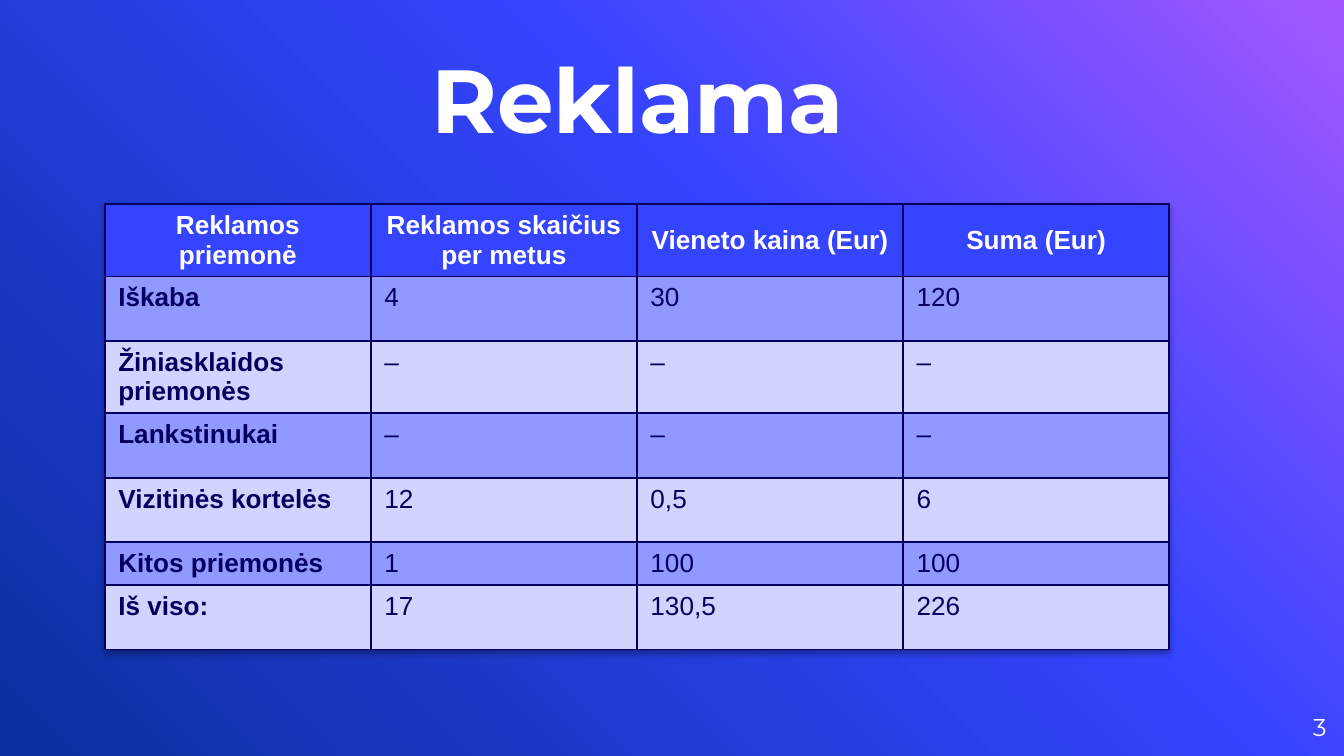
from dataclasses import dataclass

from pptx import Presentation
from pptx.dml.color import RGBColor
from pptx.enum.text import MSO_ANCHOR, MSO_AUTO_SIZE, PP_ALIGN
from pptx.oxml import parse_xml
from pptx.oxml.ns import nsdecls
from pptx.slide import Slide
from pptx.util import Inches, Pt


@dataclass(frozen=True)
class Theme:
    white: str = "FFFFFF"
    navy: str = "050060"
    header: str = "3544FF"
    dark_band: str = "9199FF"
    light_band: str = "D2D4FF"
    gradient: tuple = ((0, "A458FF"), (39, "3544FF"), (100, "0A2F9E"))
    heading_font: str = "Montserrat"
    table_font: str = "Arial"
    title_size: int = 48
    table_size: int = 14
    number_size: int = 13


@dataclass(frozen=True)
class AdvertisingRow:
    medium: str
    count: str
    price: str
    total: str
    height: float = 0.48

    def values(self) -> tuple:
        return self.medium, self.count, self.price, self.total


THEME = Theme()
COLUMN_WIDTH = 1.98
ROWS = (
    AdvertisingRow("Reklamos priemonė", "Reklamos skaičius per metus",
                   "Vieneto kaina (Eur)", "Suma (Eur)", 0.53),
    AdvertisingRow("Iškaba", "4", "30", "120"),
    AdvertisingRow("Žiniasklaidos priemonės", "–", "–", "–", 0.53),
    AdvertisingRow("Lankstinukai", "–", "–", "–"),
    AdvertisingRow("Vizitinės kortelės", "12", "0,5", "6"),
    AdvertisingRow("Kitos priemonės", "1", "100", "100", 0.31),
    AdvertisingRow("Iš viso:", "17", "130,5", "226"),
)


def write_text(text_frame, text: str, *, font: str, size: int, color: str,
               bold: bool = False, align=PP_ALIGN.LEFT) -> None:
    paragraph = text_frame.paragraphs[0]
    paragraph.alignment = align
    run = paragraph.add_run()
    run.text = text
    run.font.name = font
    run.font.size = Pt(size)
    run.font.bold = bold
    run.font.color.rgb = RGBColor.from_string(color)


def set_frame(text_frame, anchor) -> None:
    text_frame.margin_left = text_frame.margin_right = 0
    text_frame.margin_top = text_frame.margin_bottom = 0
    text_frame.auto_size = MSO_AUTO_SIZE.NONE
    text_frame.word_wrap = True
    text_frame.vertical_anchor = anchor


def draw_background(slide: Slide) -> None:
    stops = "".join(
        f'<a:gs pos="{position * 1000}"><a:srgbClr val="{color}"/></a:gs>'
        for position, color in THEME.gradient
    )
    background = parse_xml(
        f'<p:bg {nsdecls("p", "a")}><p:bgPr><a:gradFill rotWithShape="0">'
        f'<a:gsLst>{stops}</a:gsLst><a:lin ang="8100000" scaled="0"/>'
        '</a:gradFill><a:effectLst/></p:bgPr></p:bg>'
    )
    slide.element.cSld.insert(0, background)


def draw_title(slide: Slide) -> None:
    title = slide.shapes.title
    title.left, title.top = Inches(1.98), Inches(0.11)
    title.width, title.height = Inches(5.53), Inches(1.02)
    set_frame(title.text_frame, MSO_ANCHOR.BOTTOM)
    write_text(title.text_frame, "Reklama", font=THEME.heading_font,
               size=THEME.title_size, color=THEME.white, bold=True,
               align=PP_ALIGN.CENTER)


def draw_slide_number(slide: Slide) -> None:
    number = slide.shapes.add_textbox(
        Inches(9.27), Inches(5.19), Inches(0.6), Inches(0.43))
    set_frame(number.text_frame, MSO_ANCHOR.MIDDLE)
    write_text(number.text_frame, "3", font=THEME.heading_font,
               size=THEME.number_size, color=THEME.white,
               align=PP_ALIGN.RIGHT)


def set_borders(cell) -> None:
    properties = cell._tc.get_or_add_tcPr()
    for side in ("lnL", "lnR", "lnT", "lnB"):
        properties.append(parse_xml(
            f'<a:{side} {nsdecls("a")} w="{Pt(1)}"><a:solidFill>'
            f'<a:srgbClr val="{THEME.navy}"/></a:solidFill></a:{side}>'
        ))


def add_table_shadow(table) -> None:
    table._tbl.tblPr.insert(0, parse_xml(
        f'<a:effectLst {nsdecls("a")}><a:outerShdw blurRad="40000" '
        'dist="23000" dir="5400000" rotWithShape="0"><a:srgbClr val="000000">'
        '<a:alpha val="35000"/></a:srgbClr></a:outerShdw></a:effectLst>'
    ))


def draw_cell(cell, text: str, row_index: int, column_index: int) -> None:
    is_header = row_index == 0
    band = THEME.dark_band if row_index % 2 else THEME.light_band
    set_borders(cell)
    cell.fill.solid()
    cell.fill.fore_color.rgb = RGBColor.from_string(
        THEME.header if is_header else band)
    cell.vertical_anchor = MSO_ANCHOR.MIDDLE if is_header else MSO_ANCHOR.TOP
    write_text(cell.text_frame, text, font=THEME.table_font,
               size=THEME.table_size,
               color=THEME.white if is_header else THEME.navy,
               bold=is_header or column_index == 0,
               align=PP_ALIGN.CENTER if is_header else PP_ALIGN.LEFT)


def draw_table(slide: Slide, rows: tuple) -> None:
    column_count = len(rows[0].values())
    table = slide.shapes.add_table(
        len(rows), column_count, Inches(0.78), Inches(1.52),
        Inches(column_count * COLUMN_WIDTH),
        Inches(sum(row.height for row in rows))).table
    add_table_shadow(table)
    for column in table.columns:
        column.width = Inches(COLUMN_WIDTH)
    for row_index, row in enumerate(rows):
        table.rows[row_index].height = Inches(row.height)
        for column_index, text in enumerate(row.values()):
            draw_cell(table.cell(row_index, column_index), text,
                      row_index, column_index)


def main() -> None:
    presentation = Presentation()
    presentation.slide_width = Inches(10)
    presentation.slide_height = Inches(10 * 9 / 16)
    slide = presentation.slides.add_slide(presentation.slide_layouts[5])
    draw_background(slide)
    draw_slide_number(slide)
    draw_title(slide)
    draw_table(slide, ROWS)
    presentation.save("out.pptx")


if __name__ == "__main__":
    main()
